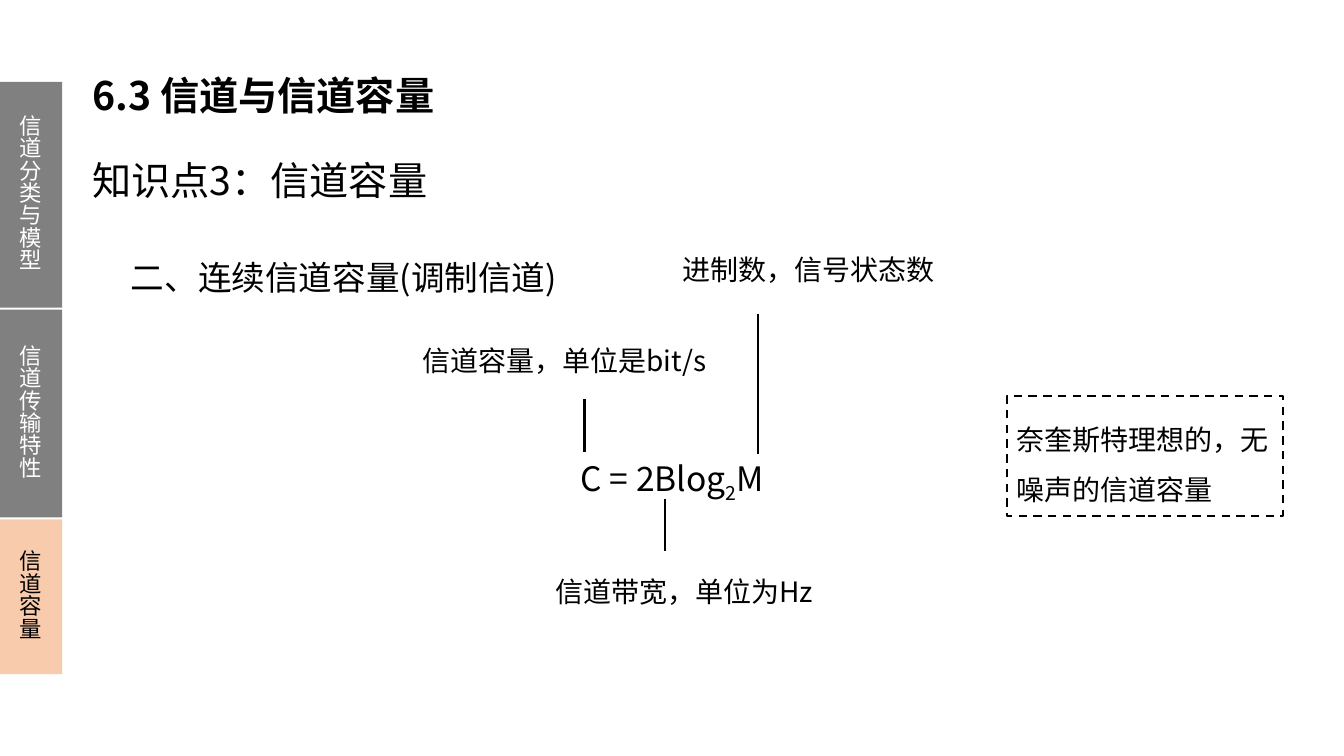
from dataclasses import dataclass

from pptx import Presentation
from pptx import util as u
from pptx.dml.color import RGBColor
from pptx.enum import dml, shapes, text
from pptx.oxml import ns
from lxml import etree

Cm, Pt = u.Cm, u.Pt


@dataclass(frozen=True)
class Theme:
    font: str = "Noto Sans CJK SC"
    ink: str = "000000"
    white: str = "FFFFFF"
    tab: str = "808080"
    active_tab: str = "F8CBAD"
    title: int = 28
    heading: int = 24
    label: int = 20
    nav: int = 16
    line: float = 1.5


T = Theme()


def rgb(color):
    return RGBColor.from_string(color)


def place(sp, box):
    sp.left, sp.top, sp.width, sp.height = (Cm(v) for v in box)


def style_runs(p, size, color=T.ink, bold=False):
    for r in p.runs:
        r.font.size, r.font.bold, r.font.name = Pt(size), bold, T.font
        r.font.color.rgb = rgb(color)
        latin = r.font._element.find(ns.qn("a:latin"))
        latin.addnext(latin.makeelement(ns.qn("a:ea"), {"typeface": T.font}))


def write(sp, words, size, color=T.ink, bold=False, align=text.PP_ALIGN.LEFT,
          anchor=text.MSO_ANCHOR.TOP, spacing=None):
    """Fill a shape with one styled paragraph and return it."""
    tf = sp.text_frame
    tf.text = words
    tf.word_wrap, tf.auto_size = True, text.MSO_AUTO_SIZE.NONE
    tf.vertical_anchor = anchor
    p = tf.paragraphs[0]
    p.alignment, p.line_spacing = align, spacing
    style_runs(p, size, color, bold)
    return p


def add_text(s, box, words, size, **kw):
    sp = s.shapes.add_textbox(*(Cm(v) for v in box))
    return write(sp, words, size, **kw)


def add_rect(s, box):
    sp = s.shapes.add_shape(shapes.MSO_SHAPE.RECTANGLE, *(Cm(v) for v in box))
    sp.shadow.inherit = False
    return sp


def add_pointer(s, x, top, bottom):
    line = s.shapes.add_connector(shapes.MSO_CONNECTOR.STRAIGHT,
                                  Cm(x), Cm(top), Cm(x), Cm(bottom))
    line.line.color.rgb, line.line.width = rgb(T.ink), Pt(T.line)
    etree.SubElement(line._element.spPr, ns.qn("a:effectLst"))


def add_titles(s, box):
    left, top, width, height = box
    title, body = s.placeholders[0], s.placeholders[1]
    place(title, (left, top, 24.51, 1.5))
    place(body, (left, top + 1.27, width, height - 1.27))
    for sp in (title, body):
        tf = sp.text_frame
        tf.margin_left = tf.margin_right = Cm(0.3)
        tf.margin_top = tf.margin_bottom = Cm(0.15)
    write(title, "6.3 信道与信道容量", T.title, bold=True)
    p = write(body, "知识点3：信道容量", T.title,
              anchor=text.MSO_ANCHOR.MIDDLE, spacing=1.5)
    p.space_before = Pt(0)
    pPr = p._p.get_or_add_pPr()
    pPr.set("marL", "0")
    pPr.set("indent", "0")
    etree.SubElement(pPr, ns.qn("a:buNone"))


def add_formula(s, box):
    """Place the heading, the formula and the pointers to its terms."""
    left, top, width, _ = box
    add_text(s, (left, top, width, 1.56), "二、连续信道容量(调制信道)",
             T.heading, spacing=Pt(37))
    p = add_text(s, (left, top + 5.22, width, 1.56), "C = 2Blog", T.heading,
                 align=text.PP_ALIGN.CENTER, spacing=Pt(37))
    subscript, states = p.add_run(), p.add_run()
    subscript.text, states.text = "2", "M"
    style_runs(p, T.heading)
    subscript.font._element.set("baseline", "-25000")

    terms = [  # words, label x, y and width, pointer x, top and bottom
        ("信道容量，单位是bit/s", 7.34, 2.48, 8.69, 11.68, 4.01, 5.33),
        ("进制数，信号状态数", 13.89, 0.2, 8.18, 16.05, 1.85, 5.38),
        ("信道带宽，单位为Hz", 10.69, 8.3, 8.74, 13.71, 6.52, 7.84),
    ]
    for words, x, y, w, line_x, start, end in terms:
        add_text(s, (left + x, top + y, w, 1.12), words, T.label)
        add_pointer(s, left + line_x, top + start, top + end)


def add_note(s, box):
    sp = add_rect(s, box)
    sp.fill.background()
    sp.line.color.rgb, sp.line.width = rgb(T.ink), Pt(T.line)
    sp.line.dash_style = dml.MSO_LINE.DASH
    write(sp, "奈奎斯特理想的，无噪声的信道容量", T.label,
          anchor=text.MSO_ANCHOR.MIDDLE, spacing=1.5)


def add_nav(s, box):
    left, top, width, height = box
    gap = 0.05
    tabs = [("信道分类与模型", 0.384, T.tab, T.white),
            ("信道传输特性", 0.353, T.tab, T.white),
            ("信道容量", 0.263, T.active_tab, T.ink)]
    for words, share, fill, color in tabs:
        tab_height = (height - gap * (len(tabs) - 1)) * share
        sp = add_rect(s, (left, top, width, tab_height))
        sp.fill.solid()
        sp.fill.fore_color.rgb = rgb(fill)
        sp.line.fill.background()
        write(sp, words, T.nav, color, align=text.PP_ALIGN.CENTER,
              anchor=text.MSO_ANCHOR.MIDDLE, spacing=Pt(16))
        top += tab_height + gap


def main():
    prs = Presentation()
    prs.slide_width, prs.slide_height = Cm(33.87), Cm(19.05)
    s = prs.slides.add_slide(prs.slide_layouts[1])
    add_titles(s, (2.03, 1.65, 30.89, 3.91))
    add_formula(s, (3.05, 6.05, 27.79, 9.42))
    add_note(s, (25.37, 9.98, 6.96, 3.02))
    add_nav(s, (0, 2.06, 1.57, 14.93))
    prs.save("out.pptx")


if __name__ == "__main__":
    main()
